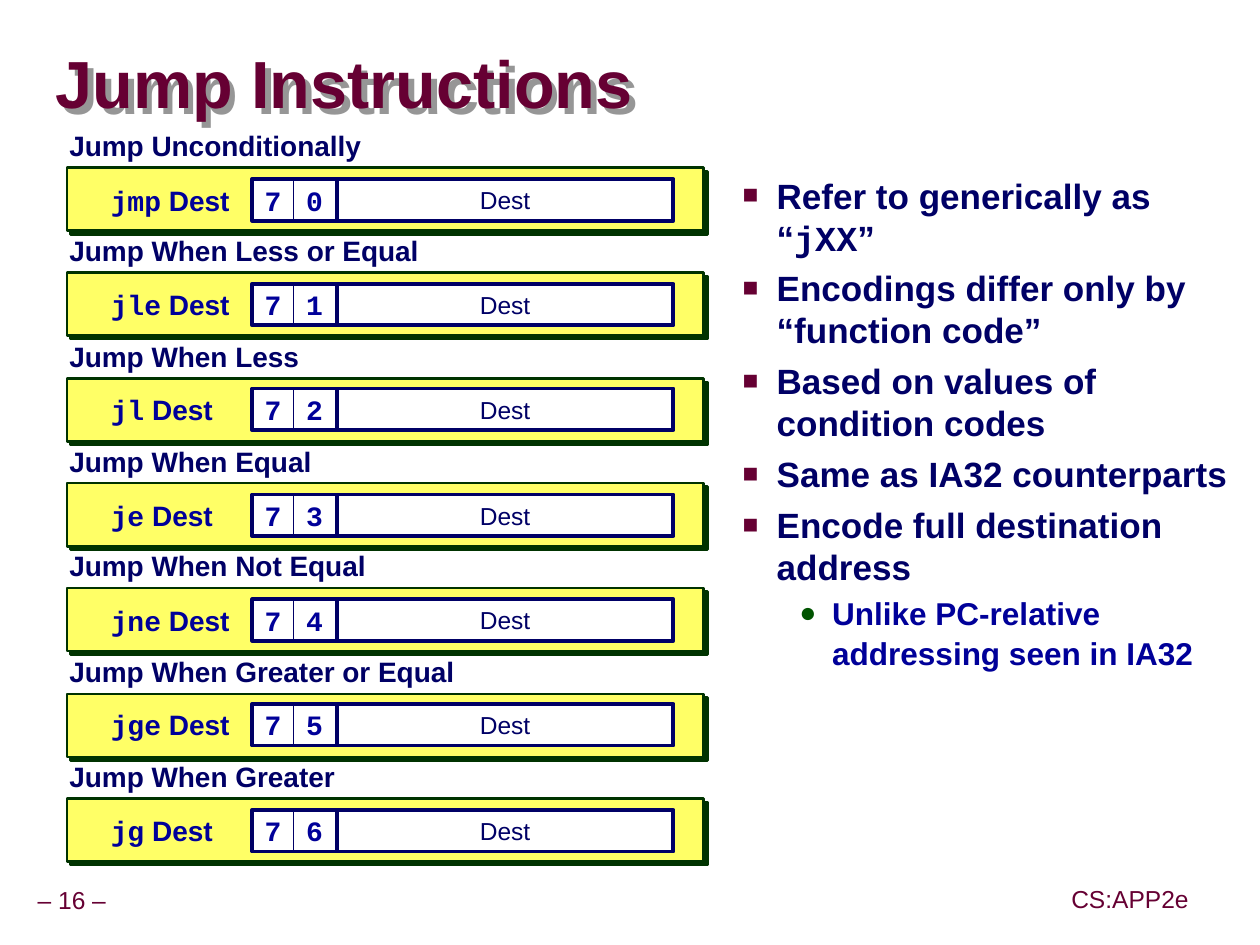
import pptx
import pptx.dml.color
import pptx.enum.shapes
import pptx.enum.text
import pptx.util
from lxml import etree

PX = 9144  # EMU per px, 100 px to the inch
PT = 12700  # EMU per point
A = "http://schemas.openxmlformats.org/drawingml/2006/main"
SANS, MONO = "Arial", "Courier New"
MAROON, NAVY, BLUE, GREEN = "660033", "000066", "000099", "003300"
rgb = pptx.dml.color.RGBColor.from_string
MIDDLE = pptx.enum.text.MSO_ANCHOR.MIDDLE
TOP = pptx.enum.text.MSO_ANCHOR.TOP
CENTER = pptx.enum.text.PP_ALIGN.CENTER
RECT = pptx.enum.shapes.MSO_SHAPE.RECTANGLE


def place(shapes, box, line=None, weight=0, fill=None, shadow=None, inset=None,
          anchor=MIDDLE, wrap=False):
    """Add a rectangle, or a text box when no line colour is given."""
    box = [v * PX for v in box]
    if line:
        sp = shapes.add_shape(RECT, *box)
        sp.line.color.rgb = rgb(line)
        sp.line.width = pptx.util.Pt(weight)
        if fill:
            sp.fill.solid()
            sp.fill.fore_color.rgb = rgb(fill)
        else:
            sp.fill.background()
    else:
        sp = shapes.add_textbox(*box)
    sp.shadow.inherit = False
    if shadow:
        color, dist = shadow
        effects = sp._element.spPr.find(f"{{{A}}}effectLst")
        outer = etree.SubElement(effects, f"{{{A}}}outerShdw", blurRad="0",
                                 dist=str(int(dist * PT)), dir="2700000",
                                 algn="ctr", rotWithShape="0")
        etree.SubElement(outer, f"{{{A}}}srgbClr", val=color)
    tf = sp.text_frame
    tf.word_wrap = wrap
    tf.vertical_anchor = anchor
    if inset is not None:
        tf.margin_left = tf.margin_right = tf.margin_top = tf.margin_bottom = inset * PX
    return tf


def write(p, runs, size, color, bold=True, align=None, spacing=None):
    """Fill a paragraph with (text, font name) runs."""
    p.alignment = align
    p.line_spacing = spacing
    for text, font in runs:
        r = p.add_run()
        r.text = text
        r.font.name = font
        r.font.size = pptx.util.Pt(size)
        r.font.bold = bold
        r.font.color.rgb = rgb(color)


prs = pptx.Presentation()
prs.slide_width, prs.slide_height = 999 * PX, 749 * PX
s = prs.slides.add_slide(prs.slide_layouts[6])

# Footer and title
for text, box in [("– 16 –", (24, 699, 66, 31)), ("CS:APP2e", (844, 698, 104, 31))]:
    tf = place(s.shapes, box, inset=5)
    write(tf.paragraphs[0], [(text, SANS)], 14, MAROON, False, CENTER, 0.9)
tf = place(s.shapes, (44, 27, 952, 85), shadow=("969696", 4.5), inset=0, wrap=True)
write(tf.paragraphs[0], [("Jump Instructions", SANS)], 38, MAROON, spacing=0.87)

# Bullets: runs, size, colour, line spacing, space before, indent, hanging, mark, its colour and size
points = [
    [("Refer to generically as “", SANS), ("jXX", MONO), ("”", SANS)],
    [("Encodings differ only by “function code”", SANS)],
    [("Based on values of condition codes", SANS)],
    [("Same as IA32 counterparts", SANS)],
    [("Encode full destination address", SANS)],
]
bullets = [(runs, 20, NAVY, None, 5, 81, 27, "■", MAROON, 75) for runs in points]
bullets.append(([("Unlike PC-relative addressing seen in IA32", SANS)],
                18, BLUE, 1.07, 2, 125, 26, "●", "005400", 90))
tf = place(s.shapes, (525, 133, 474, 570), anchor=TOP, wrap=True)
for i, (runs, size, color, spacing, before, indent, hang, mark, mark_color, mark_size) in enumerate(bullets):
    p = tf.add_paragraph() if i else tf.paragraphs[0]
    write(p, runs, size, color, spacing=spacing)
    p.space_before = pptx.util.Pt(before if i else 0)
    pPr = p._p.get_or_add_pPr()
    pPr.set("marL", str(indent * PX))
    pPr.set("indent", str(-hang * PX))
    bu_color = etree.SubElement(pPr, f"{{{A}}}buClr")
    etree.SubElement(bu_color, f"{{{A}}}srgbClr", val=mark_color)
    etree.SubElement(pPr, f"{{{A}}}buSzPct", val=str(mark_size * 1000))
    etree.SubElement(pPr, f"{{{A}}}buFont", typeface=SANS)
    etree.SubElement(pPr, f"{{{A}}}buChar", char=mark)

# One group per jump instruction
jumps = [
    ("jmp", "Jump Unconditionally", 244),
    ("jle", "Jump When Less or Equal", 288),
    ("jl", "Jump When Less", 193),
    ("je", "Jump When Equal", 203),
    ("jne", "Jump When Not Equal", 246),
    ("jge", "Jump When Greater or Equal", 316),
    ("jg", "Jump When Greater", 221),
]
PITCH, CELL = 250 / 3, 33
for code, (name, heading, width) in enumerate(jumps):
    y = round(100 + code * PITCH)
    cell_y = round(141.67 + code * PITCH)
    shapes = s.shapes.add_group_shape().shapes
    place(shapes, (53, y + 33, 505, 50), GREEN, 1.5, "FFFF66", (GREEN, 2.8))
    tf = place(shapes, (78, cell_y, 122, CELL))
    write(tf.paragraphs[0], [(name, MONO), (" Dest", SANS)], 16, BLUE)
    for x, digit in [(200, "7"), (233, str(code))]:
        tf = place(shapes, (x, cell_y, CELL, CELL), NAVY, 0.5, "FFFFFF")
        write(tf.paragraphs[0], [(digit, MONO)], 16, BLUE, align=CENTER)
    place(shapes, (200, cell_y, 67, CELL), NAVY, 2.25)
    tf = place(shapes, (50, y, width, 34), inset=5)
    write(tf.paragraphs[0], [(heading, SANS)], 16, NAVY, spacing=0.9)
    tf = place(shapes, (267, cell_y, 267, CELL), NAVY, 2.25, "FFFFFF")
    write(tf.paragraphs[0], [("Dest", SANS)], 14, NAVY, False, CENTER)

prs.save("out.pptx")
